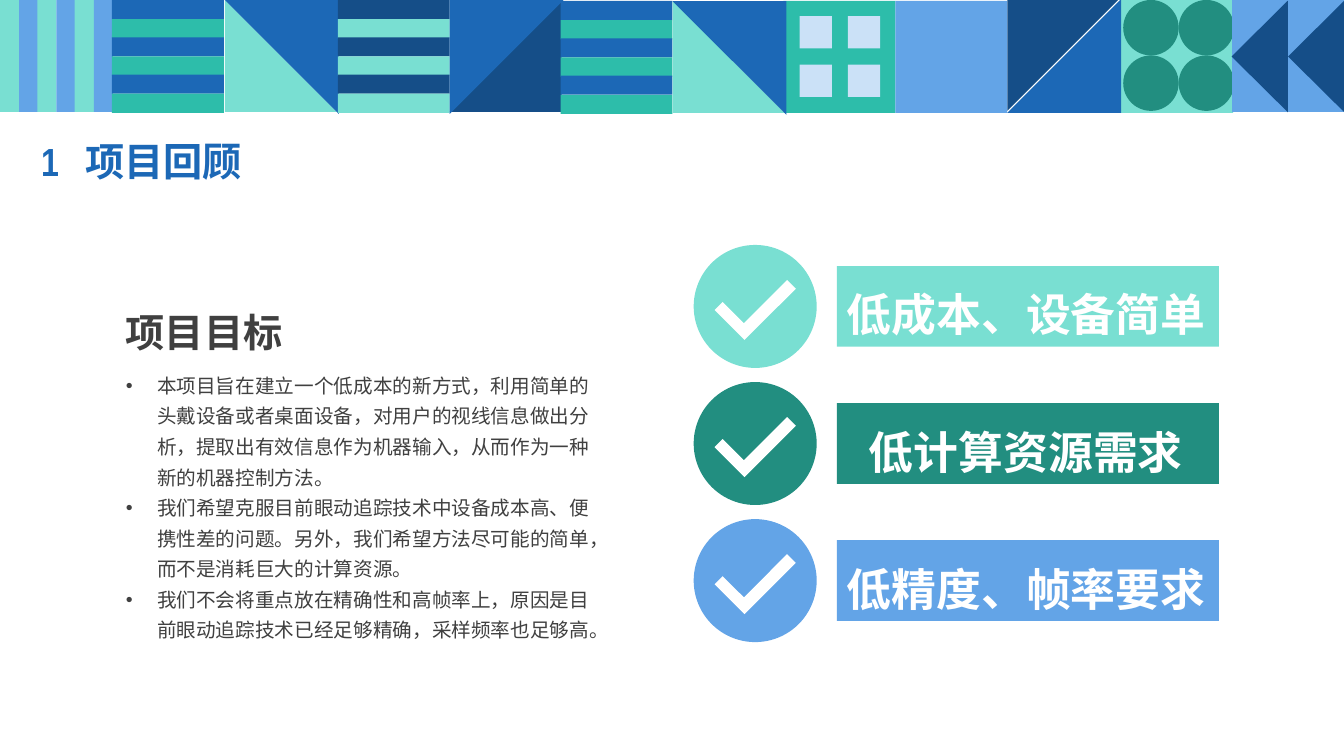
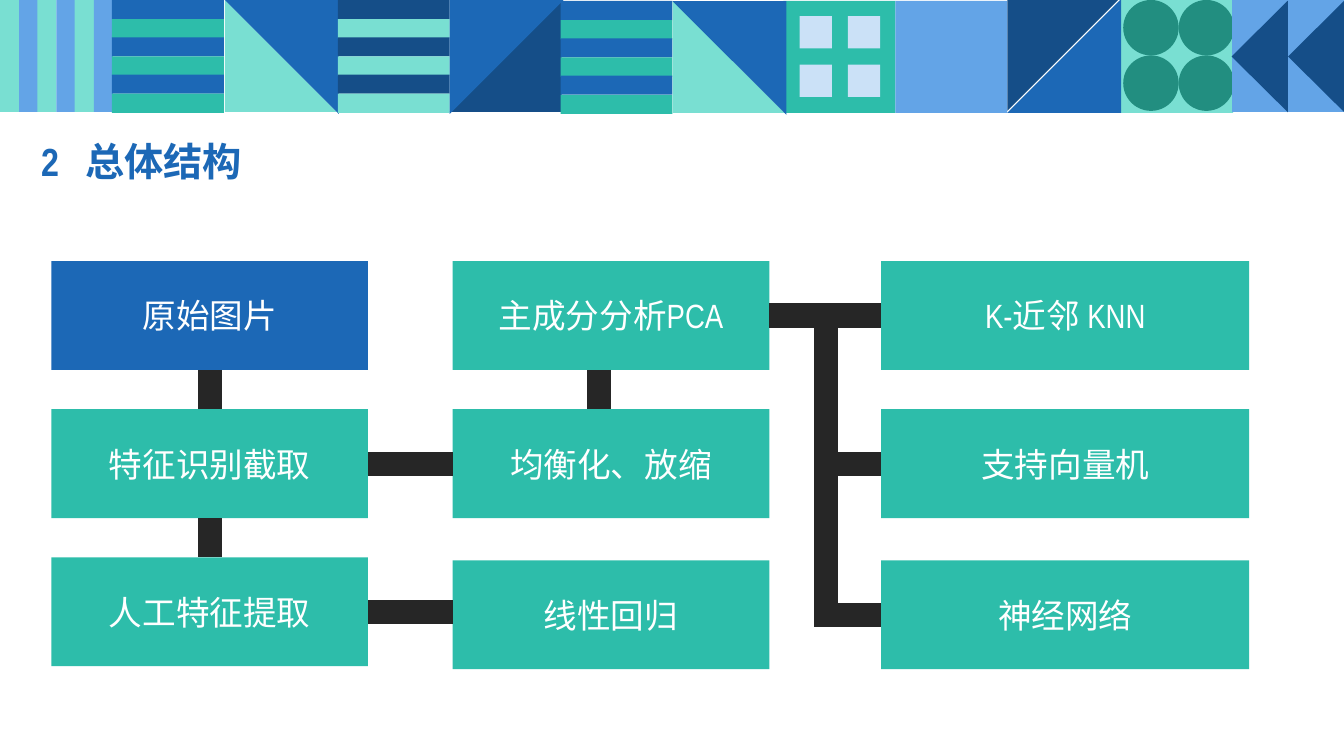
from lxml.etree import SubElement
from pptx import Presentation
from pptx.dml.color import RGBColor
from pptx.enum.shapes import MSO_CONNECTOR, MSO_SHAPE
from pptx.enum.text import MSO_ANCHOR, PP_ALIGN
from pptx.oxml.ns import qn
from pptx.util import Emu, Pt

PX = 9144
BLUE, NAVY, SKY, PALE = "1C68B6", "154E88", "63A4E7", "CBE1F7"
MINT, TEAL, GREEN = "79DFD2", "2DBDAA", "228E80"
WHITE, GREY, BLACK = "FFFFFF", "404040", "262626"
NARROW, CJK = "Arial Narrow", "Noto Sans CJK SC"
RECT, OVAL = MSO_SHAPE.RECTANGLE, MSO_SHAPE.OVAL
TILE = 111
BAR = 24
TOP, LEFT, BOTTOM, RIGHT = range(4)

GOALS = [
    "本项目旨在建立一个低成本的新方式，利用简单的头戴设备或者桌面设备，对用户的视线信息做出分析，提取出有效信息作为机器输入，从而作为一种新的机器控制方法。",
    "我们希望克服目前眼动追踪技术中设备成本高、便携性差的问题。另外，我们希望方法尽可能的简单，而不是消耗巨大的计算资源。",
    "我们不会将重点放在精确性和高帧率上，原因是目前眼动追踪技术已经足够精确，采样频率也足够高。",
]
CHECKS = [
    ("低成本、设备简单", MINT, 0),
    ("低计算资源需求", GREEN, 22),
    ("低精度、帧率要求", SKY, 0),
]
STEPS = [
    ["原始图片", "主成分分析PCA", "K-近邻 KNN"],
    ["特征识别截取", "均衡化、放缩", "支持向量机"],
    ["人工特征提取", "线性回归", "神经网络"],
]


def px(n):
    return Emu(n * PX)


def rgb(color):
    return RGBColor.from_string(color)


def add_shape(s, kind, x, y, w, h, fill, rot=0):
    sp = s.shapes.add_shape(kind, px(x), px(y), px(w), px(h))
    sp.shadow.inherit = False
    sp.fill.solid()
    sp.fill.fore_color.rgb = rgb(fill)
    sp.line.fill.background()
    sp.rotation = rot
    return sp


def add_box(s, x, y, w, h):
    return s.shapes.add_textbox(px(x), px(y), px(w), px(h))


def write(sp, *texts, size, color, font=NARROW, bold=False, spacing=1.0,
          align=PP_ALIGN.LEFT, anchor=MSO_ANCHOR.TOP, indent=0, bullet=None, tab=None):
    tf = sp.text_frame
    tf.word_wrap = True
    tf.vertical_anchor = anchor
    for i, text in enumerate(texts):
        p = tf.add_paragraph() if i else tf.paragraphs[0]
        p.alignment = align
        p.line_spacing = spacing
        pPr = p._p.get_or_add_pPr()
        if indent:
            pPr.set("marL", str(px(indent)))
        if bullet:
            pPr.set("indent", str(px(-indent)))
            SubElement(pPr, qn("a:buFont"), typeface="Arial")
            SubElement(pPr, qn("a:buChar"), char=bullet)
        if tab:
            tabs = SubElement(pPr, qn("a:tabLst"))
            SubElement(tabs, qn("a:tab"), pos=str(px(tab)), algn="l")
        r = p.add_run()
        r.text = text
        r.font.size = Pt(size)
        r.font.bold = bold
        r.font.color.rgb = rgb(color)
        r.font.name = font
        SubElement(r._r.get_or_add_rPr(), qn("a:ea"), typeface=CJK)


def add_stripes(s, x, y, colors, vertical=False):
    for i in range(6):
        offset = (TILE * i + 5) // 6
        box = (x + offset, y, 19, TILE) if vertical else (x, y + offset, TILE, 19)
        add_shape(s, RECT, *box, colors[i % 2])


def add_triangles(s, x, y, back, front, rot):
    kind = MSO_SHAPE.RIGHT_TRIANGLE
    add_shape(s, kind, x, y, TILE, TILE, back, rot)
    add_shape(s, kind, x, y, TILE + 2, TILE + 2, front, (rot + 180) % 360)


def add_quad(s, x, y, kind, size, pitch, fill):
    for row in range(2):
        for col in range(2):
            add_shape(s, kind, x + col * pitch, y + row * pitch, size, size, fill)


def add_band(s):
    add_stripes(s, 0, 0, (MINT, SKY), vertical=True)
    add_stripes(s, 111, 0, (BLUE, TEAL))
    add_triangles(s, 223, 0, MINT, BLUE, 0)
    add_stripes(s, 335, 0, (NAVY, MINT))
    add_shape(s, RECT, 777, 1, TILE, TILE, TEAL)
    add_quad(s, 793, 16, RECT, 32, 48, PALE)
    add_shape(s, RECT, 888, 1, TILE, TILE, SKY)
    add_shape(s, RECT, 1112, 0, TILE, 112, MINT)
    add_quad(s, 1114, 0, OVAL, 55, 55, GREEN)
    add_triangles(s, 999, -1, NAVY, BLUE, 90)
    add_triangles(s, 446, 0, NAVY, BLUE, 270)
    add_shape(s, RECT, 1222, 0, TILE, TILE, SKY)
    for x in (1194, 1250):
        add_shape(s, MSO_SHAPE.ISOSCELES_TRIANGLE, x, 28, TILE, 56, NAVY, 270)
    add_stripes(s, 556, 1, (BLUE, TEAL))
    add_triangles(s, 667, 1, MINT, BLUE, 0)


def add_page(prs, number, title):
    s = prs.slides.add_slide(prs.slide_layouts[6])
    add_band(s)
    write(add_box(s, 31, 131, 384, 63), f"{number}\t{title}", size=28, color=BLUE,
          bold=True, spacing=0.9, anchor=MSO_ANCHOR.MIDDLE, tab=44)
    return s


def add_goals(s, x, y):
    write(add_box(s, x, y, 200, 81), "项目目标", size=28, color=GREY, bold=True, spacing=1.5)
    write(add_box(s, x, y + 81, 481, 283), *GOALS, size=14, color=GREY, font=CJK,
          spacing=1.3, indent=31, bullet="•")


def add_check(s, x, y, text, fill, indent):
    add_shape(s, OVAL, x, y, 122, 122, fill)
    tick = add_shape(s, MSO_SHAPE.CORNER, x + 25, y + 33, 72, 42, WHITE, 315)
    tick.adjustments[0] = 0.29
    tick.adjustments[1] = 0.27
    label = add_shape(s, RECT, x + 142, y + 21, 379, 80, fill)
    write(label, text, size=32, color=WHITE, font=CJK, bold=True, spacing=1.3, indent=indent)


def add_link(s, start=(0, 0), end=(0, 0), begin=None, finish=None):
    c = s.shapes.add_connector(MSO_CONNECTOR.STRAIGHT, *map(px, start + end))
    c.line.color.rgb = rgb(BLACK)
    c.line.width = px(BAR)
    c.line._get_or_add_ln().set("cap", "flat")
    SubElement(c._element.spPr, qn("a:effectLst"))
    if begin:
        c.begin_connect(*begin)
    if finish:
        c.end_connect(*finish)


def add_flow(s, x, y):
    columns = [(0, 314), (398, 314), (823, 365)]
    rows = [0, 147, 297]
    boxes = {}
    for i, names in enumerate(STEPS):
        for j, name in enumerate(names):
            left, width = columns[j]
            top = rows[i] - (3 if (i, j) == (2, 0) else 0)
            fill = BLUE if (i, j) == (0, 0) else TEAL
            sp = add_shape(s, RECT, x + left, y + top, width, 108, fill)
            write(sp, name, size=24, color=WHITE, align=PP_ALIGN.CENTER,
                  anchor=MSO_ANCHOR.MIDDLE)
            boxes[i, j] = sp
    joins = [
        ((0, 0), BOTTOM, (1, 0), TOP),
        ((1, 0), BOTTOM, (2, 0), TOP),
        ((1, 0), RIGHT, (1, 1), LEFT),
        ((0, 1), RIGHT, (0, 2), LEFT),
    ]
    for a, a_side, b, b_side in joins:
        add_link(s, begin=(boxes[a], a_side), finish=(boxes[b], b_side))
    add_link(s, end=(x + 398, y + 348), begin=(boxes[2, 0], RIGHT))
    add_link(s, (x + 543, y + 108), (x + 543, y + 147))
    trunk = x + 768
    add_link(s, (trunk, y + 54), (trunk, y + rows[2] + 54 + BAR // 2))
    for i in (1, 2):
        add_link(s, (trunk, y + rows[i] + 54), finish=(boxes[i, 2], LEFT))


def main():
    prs = Presentation()
    prs.slide_width, prs.slide_height = px(1333), px(750)
    review = add_page(prs, 1, "项目回顾")
    add_goals(review, 115, 278)
    for i, check in enumerate(CHECKS):
        add_check(review, 688, 243 + 136 * i, *check)
    structure = add_page(prs, 2, "总体结构")
    add_flow(structure, 51, 259)
    prs.save("out.pptx")


if __name__ == "__main__":
    main()
